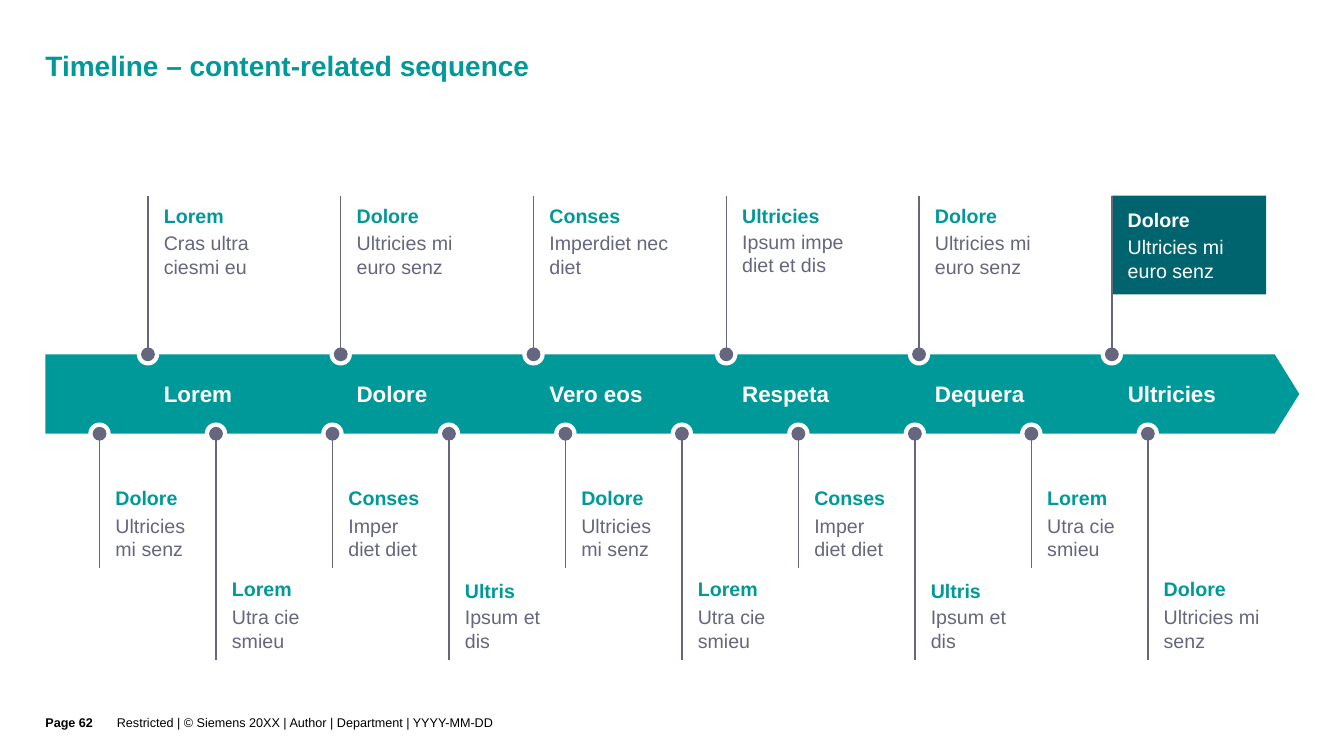
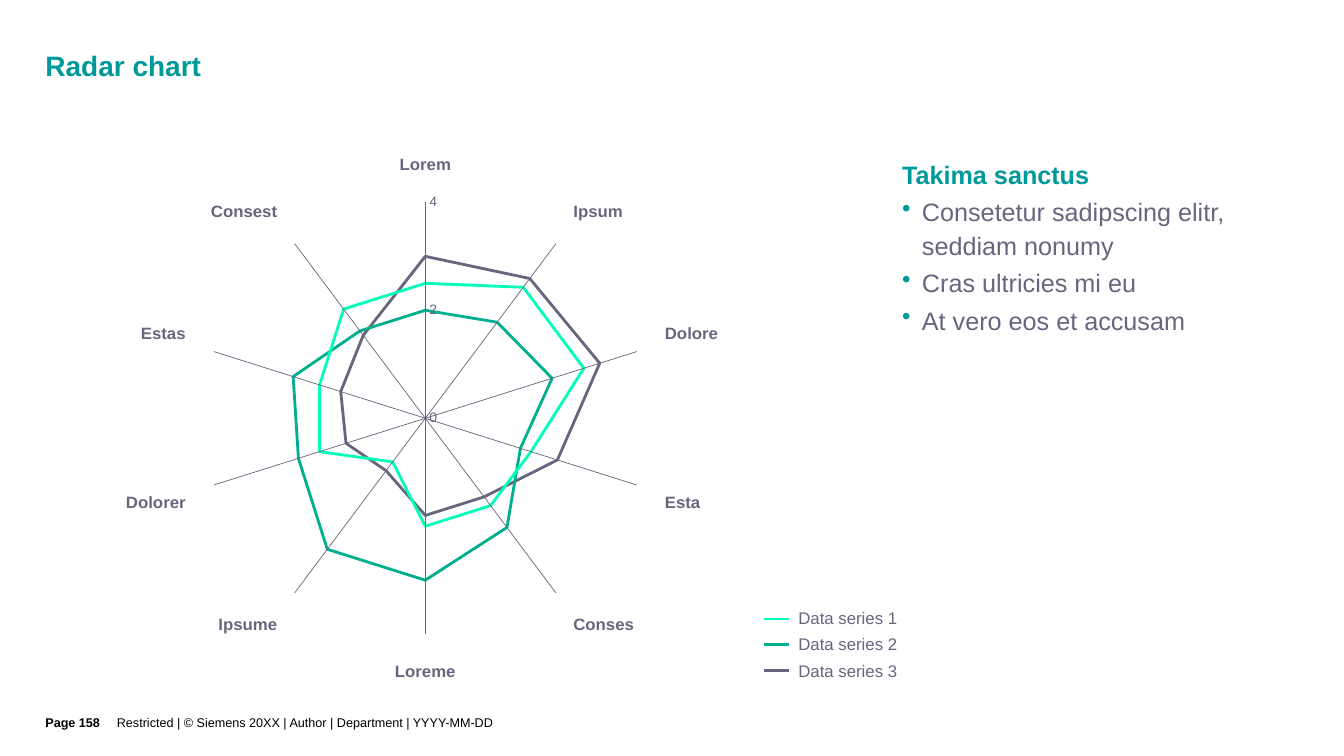
from lxml import etree
from pptx import Presentation
from pptx.chart.data import CategoryChartData
from pptx.dml.color import RGBColor
from pptx.enum.chart import XL_CHART_TYPE as ChartType, XL_TICK_MARK as TickMark
from pptx.enum.shapes import MSO_CONNECTOR as Connector, MSO_SHAPE as Shape
from pptx.enum.text import MSO_ANCHOR as Anchor
from pptx.oxml.ns import qn
from pptx.util import Pt

PETROL = RGBColor(0x00, 0x99, 0x99)
DEEP_PETROL = RGBColor(0x00, 0x64, 0x6E)
SLATE = RGBColor(0x66, 0x66, 0x7E)
MINT = RGBColor(0x00, 0xFF, 0xB9)
GREEN = RGBColor(0x00, 0xAF, 0x8E)
WHITE = RGBColor(0xFF, 0xFF, 0xFF)
BLACK = RGBColor(0x00, 0x00, 0x00)

FONT = "Arial"
MARGIN = 32.4
FOOTER = "Restricted | © Siemens 20XX | Author | Department | YYYY-MM-DD"
HALO = 16
PAD_X, PAD_Y = 11.34, 5.67

STAGES = ["Lorem", "Dolore", "Vero eos", "Respeta", "Dequera", "Ultricies"]
UPPER_EVENTS = [
    ("Lorem", "Cras ultra ciesmi eu", 3),
    ("Dolore", "Ultricies mi euro senz", 3),
    ("Conses", "Imperdiet nec diet", 3),
    ("Ultricies", "Ipsum impe diet et dis", 2),
    ("Dolore", "Ultricies mi euro senz", 3),
    ("Dolore", "Ultricies mi euro senz", 3),
]
LOWER_EVENTS = [
    ("Dolore", "Ultricies mi senz", 3),
    ("Lorem", "Utra cie smieu", 3),
    ("Conses", "Imper\ndiet diet", 3),
    ("Ultris", "Ipsum et dis", 2),
    ("Dolore", "Ultricies mi senz", 3),
    ("Lorem", "Utra cie smieu", 3),
    ("Conses", "Imper\ndiet diet", 3),
    ("Ultris", "Ipsum et dis", 2),
    ("Lorem", "Utra cie smieu", 3),
    ("Dolore", "Ultricies mi senz", 3),
]
CATEGORIES = ["Lorem", "Ipsum", "Dolore", "Esta", "Conses",
              "Loreme", "Ipsume", "Dolorer", "Estas", "Consest"]
SERIES = [
    ("Data series 1", MINT, [2.5, 3, 3, 2, 2, 2, 1, 2, 2, 2.5]),
    ("Data series 2", GREEN, [2, 2.2, 2.4, 1.8, 2.5, 3, 3, 2.4, 2.5, 2]),
    ("Data series 3", SLATE, [3, 3.2, 3.3, 2.5, 1.8, 1.8, 1.2, 1.5, 1.6, 1.9]),
]


def points(*lengths):
    return [Pt(length) for length in lengths]


def add_bullet(paragraph, color):
    props = paragraph._p.get_or_add_pPr()
    props.set("marL", str(Pt(14.17)))
    props.set("indent", str(-Pt(14.17)))
    tint = etree.SubElement(props, qn("a:buClr"))
    etree.SubElement(tint, qn("a:srgbClr"), val=str(color))
    etree.SubElement(props, qn("a:buChar"), char="•")


def add_text(slide, box, paragraphs, size=14, color=SLATE, bold=False, insets=(0, 0, 0, 0),
             anchor=Anchor.TOP, spacing=None, after=0, fill=None):
    block = slide.shapes.add_textbox(*points(*box))
    if fill is not None:
        block.fill.solid()
        block.fill.fore_color.rgb = fill
    frame = block.text_frame
    frame.word_wrap = True
    frame.vertical_anchor = anchor
    (frame.margin_left, frame.margin_top,
     frame.margin_right, frame.margin_bottom) = points(*insets)
    for index, (text, style) in enumerate(paragraphs):
        paragraph = frame.add_paragraph() if index else frame.paragraphs[0]
        paragraph.text = text
        if style.get("bullet"):
            add_bullet(paragraph, style["bullet"])
        if spacing:
            paragraph.line_spacing = spacing
        paragraph.space_before = Pt(style.get("before", 0))
        paragraph.space_after = Pt(after)
        for run in paragraph.runs:
            run.font.name = FONT
            run.font.size = Pt(size)
            run.font.bold = style.get("bold", bold)
            run.font.color.rgb = style.get("color", color)


def add_filled(slide, preset, box, color):
    shape = slide.shapes.add_shape(preset, *points(*box))
    shape.shadow.inherit = False
    shape.fill.solid()
    shape.fill.fore_color.rgb = color
    shape.line.fill.background()
    return shape


def add_line(slide, start, end, color, width, dot=False):
    line = slide.shapes.add_connector(Connector.STRAIGHT, *points(*start, *end))
    line.line.color.rgb = color
    line.line.width = Pt(width)
    props = line._element.spPr
    if dot:
        etree.SubElement(props.find(qn("a:ln")), qn("a:headEnd"), type="oval", w="lg", len="lg")
    etree.SubElement(props, qn("a:effectLst"))


def add_base(deck, title, page):
    slide = deck.slides.add_slide(deck.slide_layouts[6])
    add_text(slide, (MARGIN, 37.4, 777, 45.4), [(title, {})], size=20, color=PETROL,
             bold=True, insets=(0, 0, 25.2, 1.4), spacing=0.9)
    for left, width, text, bold in ((MARGIN, 51, f"Page {page}", True),
                                    (83.5, 726, FOOTER, False)):
        add_text(slide, (left, 496.8, width, 43.2), [(text, {})], size=9, color=BLACK,
                 bold=bold, insets=(0, 0, 0, 5), anchor=Anchor.MIDDLE)
    return slide


def add_event(slide, x, band_edge, far_end, box, event, anchor, highlight=False):
    heading, detail, gap = event
    heading_color, detail_color = (WHITE, WHITE) if highlight else (PETROL, SLATE)
    top_pad, right_pad = (8.5, PAD_Y) if highlight else (PAD_Y, 0)
    add_text(slide, box,
             [(heading, {"bold": True, "color": heading_color}),
              (detail, {"before": gap, "color": detail_color})],
             insets=(PAD_X, top_pad, right_pad, PAD_Y), anchor=anchor,
             fill=DEEP_PETROL if highlight else None)
    add_filled(slide, Shape.OVAL, (x - HALO / 2, band_edge - HALO / 2, HALO, HALO), WHITE)
    add_line(slide, (x, band_edge), (x, far_end), SLATE, 1, dot=True)


def add_timeline(slide, left, top, width, height):
    bottom = top + height
    band = add_filled(slide, Shape.PENTAGON, (left, top, width, height), PETROL)
    band.adjustments[0] = 0.31
    stem_top = top - 113.4
    for index, (stage, event) in enumerate(zip(STAGES, UPPER_EVENTS)):
        x = left + 73.3 + 137.7 * index
        highlight = index == len(STAGES) - 1
        add_text(slide, (x, top, 98, height), [(stage, {})], size=16, color=WHITE, bold=True,
                 insets=(PAD_X, PAD_Y, 0, PAD_Y), anchor=Anchor.MIDDLE)
        add_event(slide, x, top, stem_top, (x, stem_top, 110.2, 70.6 if highlight else 65.5),
                  event, Anchor.TOP, highlight)
    for index, event in enumerate(LOWER_EVENTS):
        x = left + 38.7 + 83.2 * index
        stem_bottom = bottom + 96.2 + 65.4 * (index % 2)
        text_width = 96.5 if index == len(LOWER_EVENTS) - 1 else 73.4
        add_event(slide, x, bottom, stem_bottom,
                  (x, stem_bottom - 65.5, text_width, 65.5), event, Anchor.BOTTOM)


def set_plot_layout(chart, x, y, w, h):
    plot_area = chart._chartSpace.chart.plotArea
    for old in plot_area.findall(qn("c:layout")):
        plot_area.remove(old)
    layout = etree.Element(qn("c:layout"))
    manual = etree.SubElement(layout, qn("c:manualLayout"))
    for tag, value in (("layoutTarget", "inner"), ("xMode", "edge"), ("yMode", "edge"),
                       ("x", x), ("y", y), ("w", w), ("h", h)):
        etree.SubElement(manual, qn(f"c:{tag}"), val=str(value))
    plot_area.insert(0, layout)


def format_axis(axis, size, bold):
    axis.major_tick_mark = TickMark.NONE
    axis.minor_tick_mark = TickMark.NONE
    font = axis.tick_labels.font
    font.name = FONT
    font.size = Pt(size)
    font.bold = bold
    font.color.rgb = SLATE


def add_radar(slide, left, top, width, height):
    data = CategoryChartData()
    data.categories = CATEGORIES
    for name, _, values in SERIES:
        data.add_series(name, values)
    chart = slide.shapes.add_chart(ChartType.RADAR_FILLED,
                                   *points(left, top, width, height), data).chart
    chart.has_legend = False
    chart.has_title = False
    chart.font.name = FONT
    chart.font.size = Pt(18)
    chart.font.color.rgb = BLACK
    set_plot_layout(chart, 0.184, 0.076, 0.519, 0.849)

    format_axis(chart.category_axis, 12, True)
    scale = chart.value_axis
    format_axis(scale, 10, False)
    scale.has_major_gridlines = False
    scale.minimum_scale, scale.maximum_scale, scale.major_unit = 0, 4, 2
    scale.tick_labels.number_format = "General"
    scale.tick_labels.number_format_is_linked = False
    chart.category_axis.has_major_gridlines = True
    for line in (scale.format.line, chart.category_axis.major_gridlines.format.line):
        line.color.rgb = SLATE
        line.width = Pt(0.5)

    plot = chart.plots[0]
    plot.vary_by_categories = False
    for series, (_, color, _) in zip(plot.series, SERIES):
        series.format.fill.background()
        series.format.line.color.rgb = color
        series.format.line.width = Pt(2)


def add_legend(slide, left, top, width, height):
    add_text(slide, (left + 24.5, top, width - 24.5, height),
             [(name, {"before": 3 if index else 0}) for index, (name, _, _) in enumerate(SERIES)],
             size=12, spacing=1.1)
    for index, (_, color, _) in enumerate(SERIES):
        y = top + 9.3 + 18.4 * index
        add_line(slide, (left, y), (left + 17.5, y), color, 1.75)


def add_takeaways(slide, left, top, width, height):
    points_made = ["Consetetur sadipscing elitr,\nseddiam nonumy",
                   "Cras ultricies mi eu", "At vero eos et accusam"]
    add_text(slide, (left, top, width, height),
             [("Takima sanctus", {"bold": True, "color": PETROL})]
             + [(text, {"bullet": PETROL}) for text in points_made],
             size=18, spacing=1.1, after=3)


def main():
    deck = Presentation()
    deck.slide_width, deck.slide_height = points(960, 540)

    timeline = add_base(deck, "Timeline – content-related sequence", 62)
    add_timeline(timeline, MARGIN, 253.1, 895.7, 56.7)

    radar = add_base(deck, "Radar chart", 158)
    add_radar(radar, MARGIN, 111.6, 612, 374.4)
    add_legend(radar, 545.8, 432.8, 98.7, 52.6)
    add_takeaways(radar, 644.4, 111.6, 283.7, 164.2)

    deck.save("out.pptx")


if __name__ == "__main__":
    main()
